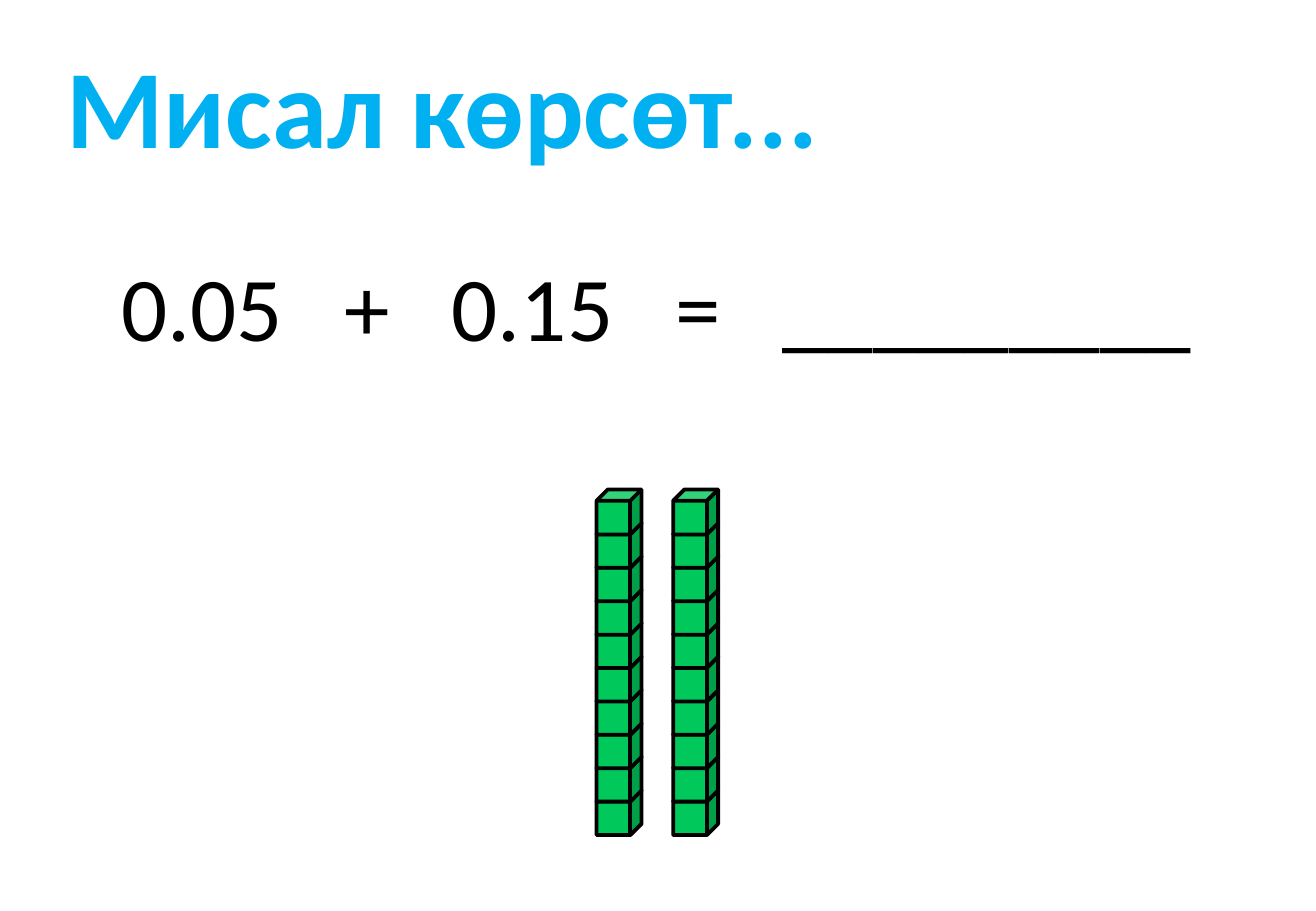
from dataclasses import dataclass

from lxml import etree
from pptx import Presentation
from pptx.dml.color import RGBColor
from pptx.enum import shapes, text
from pptx.oxml import ns
from pptx.slide import Slide
from pptx.util import Inches, Pt


@dataclass(frozen=True)
class Theme:
    font: str = "Calibri"
    title_color: RGBColor = RGBColor(0x00, 0xB0, 0xF0)
    ink: RGBColor = RGBColor(0x00, 0x00, 0x00)
    cube_fill: RGBColor = RGBColor(0x00, 0xC8, 0x5A)
    title_size: int = 66
    equation_size: int = 54
    outline: float = 2.25


@dataclass(frozen=True)
class Label:
    content: str
    left: float
    top: float
    width: float
    height: float
    size: int
    color: RGBColor
    bold: bool = False
    tab_stops: tuple[float, ...] = ()


@dataclass(frozen=True)
class Rod:
    left: float
    top: float = 4.03
    cube_count: int = 10
    cube_size: float = 0.37
    step: float = 0.275


THEME = Theme()
EQUATION = Label("0.05\t+\t0.15\t=\t_________", 0.9, 2.01, 9.1, 1.01,
                 THEME.equation_size, THEME.ink,
                 tab_stops=(1.84, 2.72, 4.56, 5.44))
TITLE = Label("Мисал көрсөт...", 0.45, 0.26, 7.33, 1.21,
              THEME.title_size, THEME.title_color, bold=True)
RODS = (Rod(5.54), Rod(4.91))


def add_label(slide: Slide, label: Label) -> None:
    box = slide.shapes.add_textbox(Inches(label.left), Inches(label.top),
                                   Inches(label.width), Inches(label.height))
    frame = box.text_frame
    frame.word_wrap = True
    frame.auto_size = text.MSO_AUTO_SIZE.SHAPE_TO_FIT_TEXT
    paragraph = frame.paragraphs[0]
    if label.tab_stops:
        properties = paragraph._p.get_or_add_pPr()
        tab_list = etree.SubElement(properties, ns.qn("a:tabLst"))
        for position in label.tab_stops:
            etree.SubElement(tab_list, ns.qn("a:tab"),
                             pos=str(Inches(position)), algn="l")
    run = paragraph.add_run()
    run.text = label.content
    run.font.name = THEME.font
    run.font.size = Pt(label.size)
    run.font.bold = label.bold
    run.font.color.rgb = label.color


def add_rod(slide: Slide, rod: Rod) -> None:
    group = slide.shapes.add_group_shape()
    # Stack from the bottom up so each cube covers the top of the one below
    for index in reversed(range(rod.cube_count)):
        cube = group.shapes.add_shape(
            shapes.MSO_SHAPE.CUBE,
            Inches(rod.left), Inches(rod.top + index * rod.step),
            Inches(rod.cube_size), Inches(rod.cube_size))
        cube.shadow.inherit = False
        cube.fill.solid()
        cube.fill.fore_color.rgb = THEME.cube_fill
        cube.line.color.rgb = THEME.ink
        cube.line.width = Pt(THEME.outline)


def main() -> None:
    presentation = Presentation()
    presentation.slide_width = Inches(10.83)
    presentation.slide_height = Inches(7.5)
    slide = presentation.slides.add_slide(presentation.slide_layouts[6])

    # Equation to solve
    add_label(slide, EQUATION)

    # Rods of ten cubes
    for rod in RODS:
        add_rod(slide, rod)

    # Title
    add_label(slide, TITLE)

    presentation.save("out.pptx")


if __name__ == "__main__":
    main()
